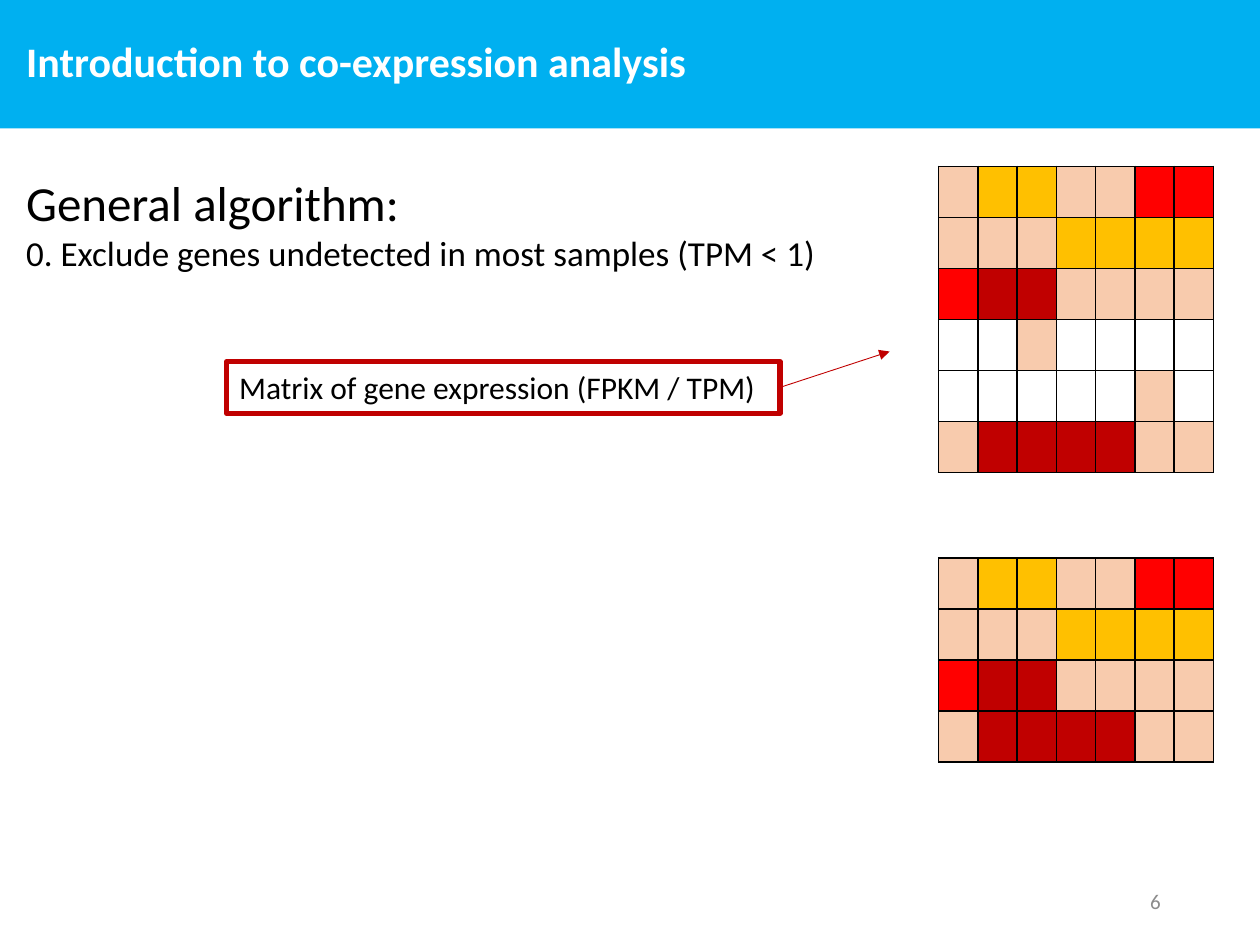
from lxml import etree
from pptx import Presentation
from pptx.dml.color import RGBColor
from pptx.enum.shapes import MSO_CONNECTOR, MSO_SHAPE
from pptx.enum.text import MSO_ANCHOR, PP_ALIGN
from pptx.oxml import parse_xml
from pptx.oxml.ns import nsdecls, qn
from pptx.util import Inches, Pt

RECTANGLE = MSO_SHAPE.RECTANGLE
STRAIGHT = MSO_CONNECTOR.STRAIGHT
TOP, MIDDLE = MSO_ANCHOR.TOP, MSO_ANCHOR.MIDDLE
LEFT, RIGHT = PP_ALIGN.LEFT, PP_ALIGN.RIGHT
RIGHT_SIDE = 3

BLACK = RGBColor(0x00, 0x00, 0x00)
WHITE = RGBColor(0xFF, 0xFF, 0xFF)
GRAY = RGBColor(0x8C, 0x8C, 0x8C)
BLUE = RGBColor(0x00, 0xB0, 0xF0)
PEACH = RGBColor(0xF8, 0xCB, 0xAD)
AMBER = RGBColor(0xFF, 0xC0, 0x00)
RED = RGBColor(0xFF, 0x00, 0x00)
DARK_RED = RGBColor(0xC0, 0x00, 0x00)

# One letter per cell, one string per gene
LEVELS = {".": WHITE, "p": PEACH, "a": AMBER, "r": RED, "d": DARK_RED}
EXPRESSION = ["paapprr", "pppaaaa", "rddpppp", "..p....", ".....p.", "pddddpp"]
DETECTED = [gene for gene in EXPRESSION if "." not in gene]


class SlideBuilder:
    font = "Calibri"
    column_width = Inches(2.18 / 7)
    row_height = Inches(2.43 / 6)

    def __init__(self, page):
        self.page = page

    def fill_text(self, frame, lines, color, anchor=TOP, align=LEFT, bold=False, spacing=None):
        """Fill a text frame with (text, point size) lines."""
        frame.word_wrap = True
        frame.vertical_anchor = anchor
        for index, (text, size) in enumerate(lines):
            para = frame.add_paragraph() if index else frame.paragraphs[0]
            para.text = text
            para.alignment = align
            para.line_spacing = spacing
            para.font.name = self.font
            para.font.size = Pt(size)
            para.font.bold = bold
            para.font.color.rgb = color

    def text(self, left, top, width, height, lines, color, **style):
        box = self.page.shapes.add_textbox(
            Inches(left), Inches(top), Inches(width), Inches(height))
        self.fill_text(box.text_frame, lines, color, **style)

    def rectangle(self, left, top, width, height, fill=None, line=None, weight=1):
        box = self.page.shapes.add_shape(
            RECTANGLE, Inches(left), Inches(top), Inches(width), Inches(height))
        box.shadow.inherit = False
        if fill is None:
            box.fill.background()
        else:
            box.fill.solid()
            box.fill.fore_color.rgb = fill
        if line is None:
            box.line.fill.background()
        else:
            box.line.color.rgb = line
            box.line.width = Pt(weight)
        return box

    def heatmap(self, left, top, genes):
        rows, columns = len(genes), len(genes[0])
        frame = self.page.shapes.add_table(
            rows, columns, Inches(left), Inches(top),
            self.column_width * columns, self.row_height * rows)
        table = frame.table
        table.first_row = False
        table.horz_banding = False
        for column in table.columns:
            column.width = self.column_width
        for row, gene in zip(table.rows, genes):
            row.height = self.row_height
            for cell, level in zip(row.cells, gene):
                cell.margin_top = cell.margin_bottom = 0
                self.cell_borders(cell)
                cell.fill.solid()
                cell.fill.fore_color.rgb = LEVELS[level]

    def cell_borders(self, cell):
        properties = cell._tc.get_or_add_tcPr()
        for side in ("lnL", "lnR", "lnT", "lnB"):
            properties.append(parse_xml(
                f'<a:{side} {nsdecls("a")} w="{Pt(1)}"><a:solidFill>'
                f'<a:srgbClr val="{BLACK}"/></a:solidFill></a:{side}>'))

    def arrow_from(self, box, end_x, end_y, color, weight):
        """Draw an arrow from the right side of a box."""
        arrow = self.page.shapes.add_connector(
            STRAIGHT, 0, 0, Inches(end_x), Inches(end_y))
        arrow.begin_connect(box, RIGHT_SIDE)
        arrow.line.color.rgb = color
        arrow.line.width = Pt(weight)
        etree.SubElement(arrow.line._get_or_add_ln(), qn("a:tailEnd"), type="triangle")
        etree.SubElement(arrow._element.spPr, qn("a:effectLst"))


def main():
    deck = Presentation()
    deck.slide_width, deck.slide_height = Inches(10), Inches(7.5)
    builder = SlideBuilder(deck.slides.add_slide(deck.slide_layouts[6]))

    builder.rectangle(0, 0, 10, 1.02, fill=BLUE)
    builder.text(0.11, 0.15, 8.62, 0.72, [("Introduction to co-expression analysis", 24)],
                 WHITE, anchor=MIDDLE, bold=True, spacing=0.9)
    builder.text(7.06, 6.95, 2.25, 0.4, [("6", 12)], GRAY, anchor=MIDDLE, align=RIGHT)
    builder.text(0.11, 1.32, 9.34, 0.91,
                 [("General algorithm:", 28),
                  ("0. Exclude genes undetected in most samples (TPM < 1)", 20)], BLACK)

    builder.heatmap(7.45, 1.32, EXPRESSION)
    builder.heatmap(7.45, 4.43, DETECTED)

    label = builder.rectangle(1.8, 2.87, 4.39, 0.41, line=DARK_RED, weight=3)
    builder.fill_text(label.text_frame, [("Matrix of gene expression (FPKM / TPM)", 18)], BLACK)
    builder.arrow_from(label, 7.06, 2.79, DARK_RED, 0.5)

    deck.save("out.pptx")


if __name__ == "__main__":
    main()
